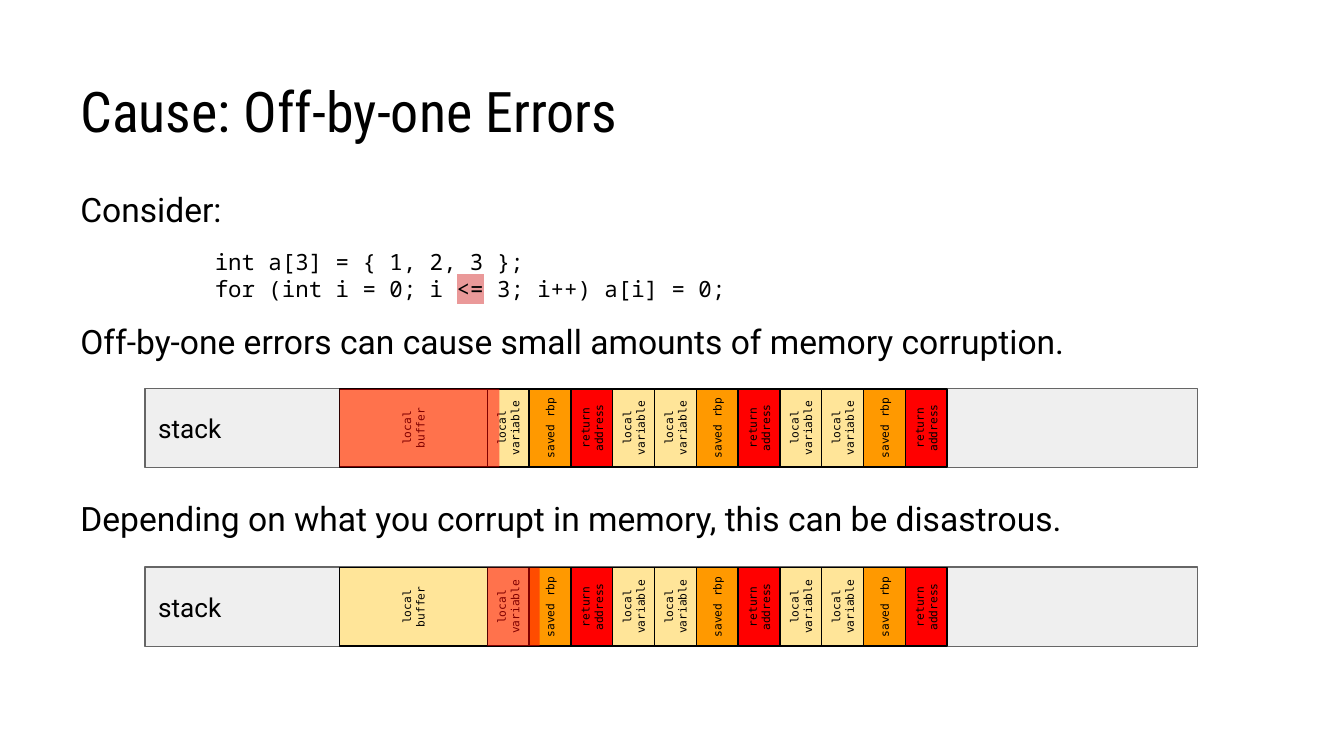
import pptx
import pptx.util
from lxml import etree
from pptx.dml.color import RGBColor
from pptx.enum.shapes import MSO_SHAPE
from pptx.enum.text import MSO_ANCHOR, MSO_AUTO_SIZE, PP_ALIGN
from pptx.oxml.ns import qn
from pptx.util import Cm, Pt

BLACK = RGBColor(0x00, 0x00, 0x00)
RED = RGBColor(0xFF, 0x00, 0x00)
ORANGE = RGBColor(0xFF, 0x99, 0x00)
YELLOW = RGBColor(0xFF, 0xE5, 0x99)
LIGHT_GREY = RGBColor(0xEF, 0xEF, 0xEF)
DARK_GREY = RGBColor(0x66, 0x66, 0x66)
PINK = RGBColor(0xEA, 0x99, 0x99)

# Content
TITLE = "Cause: Off-by-one Errors"
PROSE = ("Roboto", 18, 0)
CODE = ("Noto Sans Mono", 12, 2.54)
OPERATOR = "<="
# runs, (font, size, indent in cm), space before in points
BODY = [
    (["Consider:"], PROSE, 0),
    (["int a[3] = { 1, 2, 3 };"], CODE, 10),
    (["for (int i = 0; i ", OPERATOR, " 3; i++) a[i] = 0;"], CODE, 0),
    (["Off-by-one errors can cause small amounts of memory corruption."], PROSE, 10),
    (["Depending on what you corrupt in memory, this can be disastrous."], PROSE, 73.5),
]
BUFFER = ("local buffer", YELLOW)
VARIABLE = ("local variable", YELLOW)
SAVED_RBP = ("saved rbp", ORANGE)
RETURN = ("return address", RED)
STACK_CELLS = [BUFFER, VARIABLE, SAVED_RBP, RETURN] + [VARIABLE, VARIABLE, SAVED_RBP, RETURN] * 2

# Stack geometry in cm
STACK_LEFT, STACK_WIDTH, STACK_HEIGHT = 2.74, 19.89, 1.5
CELLS_LEFT, BUFFER_WIDTH, CELL_WIDTH, CELL_HEIGHT = 6.42, 2.79, 0.79, 1.48
# stack top, corrupted area left, corrupted area width
STACKS = [
    (7.34, CELLS_LEFT, 3.02),
    (10.72, CELLS_LEFT + BUFFER_WIDTH, 0.99),
]


def format_run(run, font, size):
    run.font.name = font
    run.font.size = Pt(size)
    run.font.color.rgb = BLACK


def set_frame(frame, anchor, inset):
    frame.word_wrap = True
    frame.auto_size = MSO_AUTO_SIZE.NONE
    frame.vertical_anchor = anchor
    frame.margin_left = frame.margin_right = Cm(inset)
    frame.margin_top = frame.margin_bottom = Cm(inset)


def add_box(slide, left, top, width, height, fill, line=None):
    box = slide.shapes.add_shape(MSO_SHAPE.RECTANGLE, Cm(left), Cm(top), Cm(width), Cm(height))
    box.shadow.inherit = False
    box.fill.solid()
    box.fill.fore_color.rgb = fill
    if line is None:
        box.line.fill.background()
    else:
        box.line.color.rgb = line
        box.line.width = Pt(0.75)
    return box


def add_label(box, label, font, size, align, inset):
    set_frame(box.text_frame, MSO_ANCHOR.MIDDLE, inset)
    box.text_frame.text = label
    paragraph = box.text_frame.paragraphs[0]
    paragraph.alignment = align
    format_run(paragraph.runs[0], font, size)


def add_cell(slide, left, width, middle, label, fill):
    # Turned a quarter, so width and height change places
    cell = add_box(slide, left + (width - CELL_HEIGHT) / 2, middle - width / 2,
                   CELL_HEIGHT, width, fill, BLACK)
    cell.rotation = 270
    add_label(cell, label, "DejaVu Sans Mono", 6, PP_ALIGN.CENTER, 0)


def add_stack(slide, top, corrupted_left, corrupted_width):
    bar = add_box(slide, STACK_LEFT, top, STACK_WIDTH, STACK_HEIGHT, LIGHT_GREY, DARK_GREY)
    add_label(bar, "stack", "Roboto", 14, PP_ALIGN.LEFT, 0.25)
    middle = top + STACK_HEIGHT / 2

    # Cells, from the right so that the buffer lies in front
    for index, (label, fill) in reversed(list(enumerate(STACK_CELLS))):
        if index == 0:
            left, width = CELLS_LEFT, BUFFER_WIDTH
        else:
            left = CELLS_LEFT + BUFFER_WIDTH + (index - 1) * CELL_WIDTH
            width = CELL_WIDTH
        add_cell(slide, left, width, middle, label, fill)

    # Corrupted area, half transparent
    corrupted = add_box(slide, corrupted_left, middle - CELL_HEIGHT / 2,
                        corrupted_width, CELL_HEIGHT, RED)
    color = corrupted.fill._xPr.find(qn("a:solidFill"))[0]
    etree.SubElement(color, qn("a:alpha")).set("val", "50000")


def highlight(run, color):
    mark = etree.Element(qn("a:highlight"))
    etree.SubElement(mark, qn("a:srgbClr")).set("val", str(color))
    run._r.rPr.find(qn("a:solidFill")).addnext(mark)


def main():
    deck = pptx.Presentation()
    deck.slide_width, deck.slide_height = Cm(25.4), Cm(14.29)
    slide = deck.slides.add_slide(deck.slide_layouts[5])

    # Title
    title = slide.shapes.title
    title.left, title.top, title.width, title.height = Cm(1.27), Cm(0.58), Cm(22.86), Cm(2.39)
    add_label(title, TITLE, "Roboto Condensed", 30, PP_ALIGN.LEFT, 0.25)
    title.text_frame.vertical_anchor = MSO_ANCHOR.BOTTOM

    # Body text
    body = slide.shapes.add_textbox(Cm(1.27), Cm(3.33), Cm(22.86), Cm(10.34)).text_frame
    set_frame(body, MSO_ANCHOR.TOP, 0.25)
    for index, (texts, (font, size, indent), space) in enumerate(BODY):
        paragraph = body.add_paragraph() if index else body.paragraphs[0]
        paragraph.space_before = Pt(space)
        paragraph._p.get_or_add_pPr().set("marL", str(Cm(indent)))
        for text in texts:
            run = paragraph.add_run()
            run.text = text
            format_run(run, font, size)
            if text == OPERATOR:
                highlight(run, PINK)

    # Stacks
    for stack in STACKS:
        add_stack(slide, *stack)

    deck.save("out.pptx")


if __name__ == "__main__":
    main()
